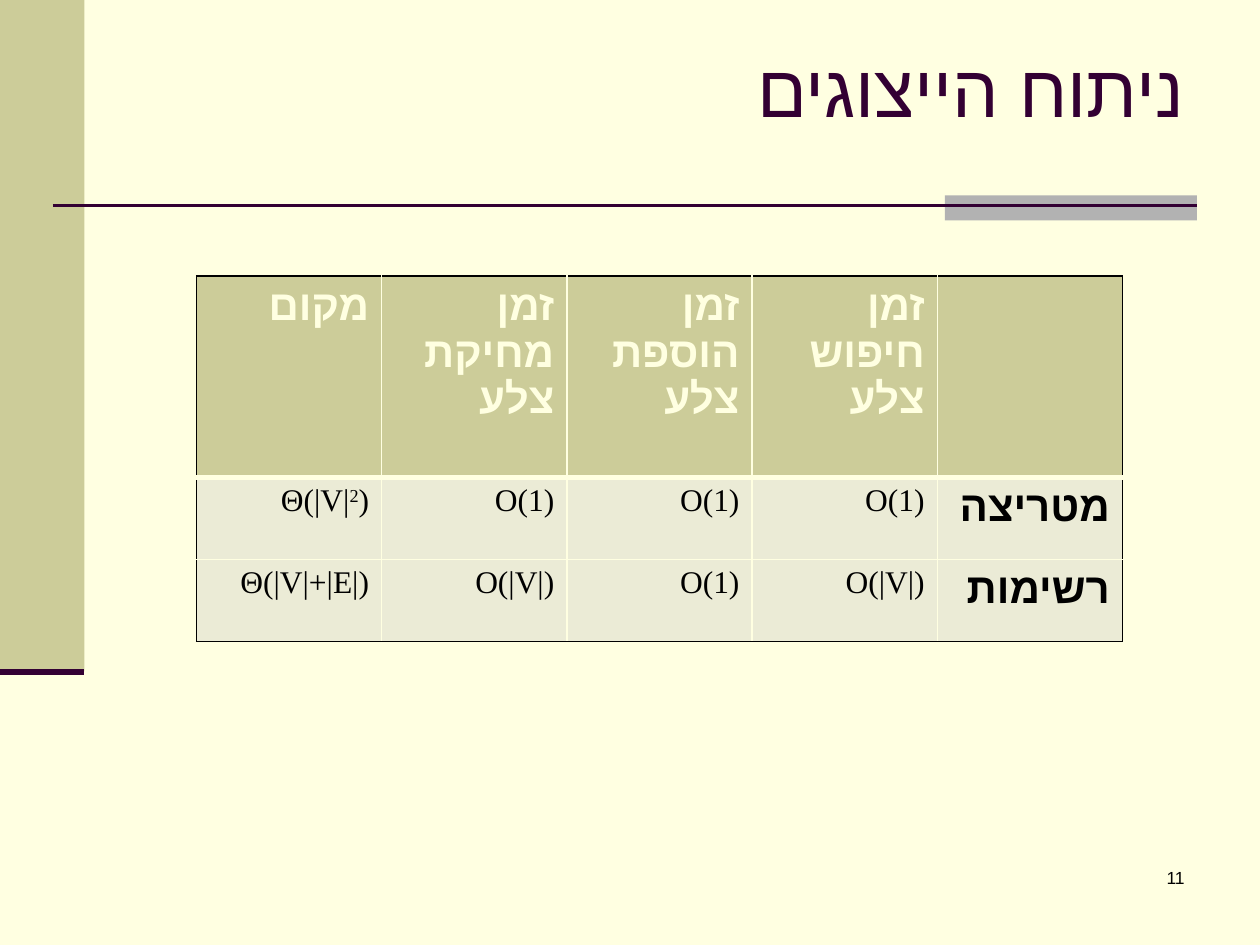
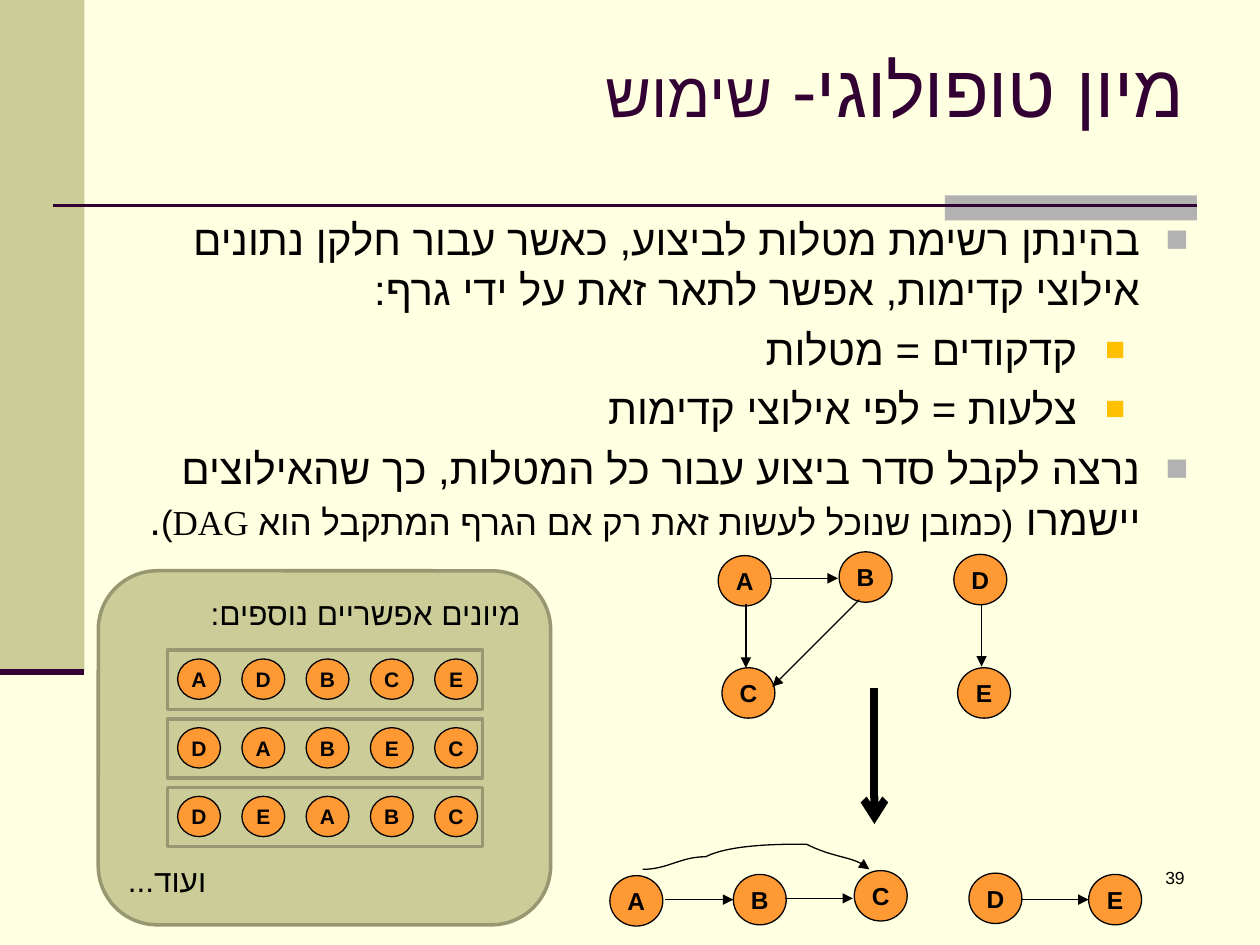
"""Build two Hebrew slides on graph representations and topological sorting."""
import lxml.etree
import pptx
import pptx.dml.color
import pptx.enum.shapes
import pptx.enum.text
import pptx.oxml.ns
import pptx.util

COLORS = {
    "paper": "FFFFE1", "olive": "CCCC99", "olive_dark": "979771", "olive_pale": "EBEBD6",
    "gray": "B2B2B2", "plum": "330033", "ink": "000000", "orange": "FF9933", "amber": "FFC000",
}
SERIF, SANS = "Times New Roman", "Arial"
UNIT = pptx.util.Inches(0.1)
COLUMNS, ROWS = 100, 75
KINDS = pptx.enum.shapes.MSO_SHAPE
ALIGN = pptx.enum.text.PP_ALIGN
ANCHOR = pptx.enum.text.MSO_ANCHOR
rgb = {name: pptx.dml.color.RGBColor.from_string(value) for name, value in COLORS.items()}
qn = pptx.oxml.ns.qn
SubElement = lxml.etree.SubElement


def add_block(slide, kind, box, fill=None, line=None, width=1):
    """Add a preset shape placed in grid units."""
    block = slide.shapes.add_shape(kind, *[round(value * UNIT) for value in box])
    block.shadow.inherit = False
    for part, color in ((block.fill, fill), (block.line.fill, line)):
        if color:
            part.solid()
            part.fore_color.rgb = rgb[color]
        else:
            part.background()
    if line:
        block.line.width = pptx.util.Pt(width)
    return block


def write(paragraph, runs, align=ALIGN.RIGHT, rtl=True, color="ink", font=SERIF, bold=False):
    """Fill a paragraph with (text, size, baseline) runs."""
    paragraph.alignment = align
    paragraph._p.get_or_add_pPr().set("rtl", str(int(rtl)))
    for text, size, *baseline in runs:
        run = paragraph.add_run()
        run.text = text
        look = {"size": pptx.util.Pt(size), "name": font, "bold": bold}
        for name, value in look.items():
            setattr(run.font, name, value)
        run.font.color.rgb = rgb[color]
        properties = run._r.get_or_add_rPr()
        SubElement(properties, qn("a:cs"), typeface=SANS)
        if baseline:
            properties.set("baseline", str(baseline[0] * 1000))


deck = pptx.Presentation()
deck.slide_width, deck.slide_height = COLUMNS * UNIT, ROWS * UNIT
backdrop = deck.slide_master.background.fill
backdrop.solid()
backdrop.fore_color.rgb = rgb["paper"]

pages = [
    ([("ניתוח הייצוגים", 42)], "11"),
    ([("מיון טופולוגי- ", 42), ("שימוש", 36)], "39"),
]
strokes = []
for heading, number in pages:
    slide = deck.slides.add_slide(deck.slide_layouts[5])
    add_block(slide, KINDS.RECTANGLE, (0, 0, 6.7, 53.3), "olive")
    add_block(slide, KINDS.RECTANGLE, (75, 15.5, 20, 2), "gray")
    strokes += [
        (slide, (4.2, 16.3), (95, 16.3), "plum", 1.5, None),
        (slide, (0, 53.3), (6.7, 53.3), "plum", 3.5, None),
    ]
    title = slide.shapes.title
    place = {"left": 10, "top": 3, "width": 85, "height": 12.5}
    for name, value in place.items():
        setattr(title, name, round(value * UNIT))
    title.text_frame.vertical_anchor = ANCHOR.TOP
    title.text_frame.auto_size = pptx.enum.text.MSO_AUTO_SIZE.NONE
    write(title.text_frame.paragraphs[0], heading, color="plum")
    page_number = slide.shapes.add_textbox(*[round(v * UNIT) for v in (74.2, 68.3, 20.8, 5)])
    page_number.text_frame.word_wrap = True
    write(page_number.text_frame.paragraphs[0], [(number, 10)], rtl=False, font=SANS)

analysis, sorting = deck.slides

costs = [
    ["מקום", "זמן מחיקת צלע", "זמן הוספת צלע", "זמן חיפוש צלע", ""],
    ["Θ(|V|^2)", "O(1)", "O(1)", "O(1)", "מטריצה"],
    ["Θ(|V|+|E|)", "O(|V|)", "O(1)", "O(|V|)", "רשימות"],
]
last_row, last_column = len(costs) - 1, len(costs[0]) - 1
cost_frame = analysis.shapes.add_table(
    len(costs), len(costs[0]), *[round(v * UNIT) for v in (15.6, 21.9, 73.5, 29)])
cost_table = cost_frame.table
cost_table.first_row = cost_table.horz_banding = False
for column in cost_table.columns:
    column.width = round(14.7 * UNIT)
for row, height in zip(cost_table.rows, (16, 6.5, 6.5)):
    row.height = round(height * UNIT)
for r, entries in enumerate(costs):
    for c, entry in enumerate(entries):
        cell = cost_table.cell(r, c)
        cell.fill.solid()
        cell.fill.fore_color.rgb = rgb["olive_pale" if r else "olive"]
        label = r == 0 or c == last_column
        base, power, rest = entry.partition("^2")
        runs = [(base, 24 if label else 18)]
        if power:
            runs += [("2", 18, 30), (rest, 18)]
        if entry:
            write(cell.text_frame.paragraphs[0], runs, bold=label, color="ink" if r else "paper")
        outer = {"lnL": c == 0, "lnR": c == last_column, "lnT": r == 0, "lnB": r == last_row}
        thick = {"lnB": r == 0, "lnT": r == 1}
        properties = cell._tc.get_or_add_tcPr()
        for position, (side, at_edge) in enumerate(outer.items()):
            border = lxml.etree.Element(qn("a:" + side), w=str(pptx.util.Pt(3 if thick.get(side) else 1)))
            paint = SubElement(border, qn("a:solidFill"))
            SubElement(paint, qn("a:srgbClr"), val=COLORS["ink" if at_edge else "paper"])
            properties.insert(position, border)

points = [
    (0, [("בהינתן רשימת מטלות לביצוע, כאשר עבור חלקן נתונים אילוצי קדימות, אפשר לתאר זאת על ידי גרף:", 24)]),
    (1, [("קדקודים = מטלות", 24)]),
    (1, [("צלעות = לפי אילוצי קדימות", 24)]),
    (0, [("נרצה לקבל סדר ביצוע עבור כל המטלות, כך שהאילוצים יישמרו ", 24),
         ("(כמובן שנוכל לעשות זאת רק אם הגרף המתקבל הוא DAG)", 20), (".", 24)]),
]
bullets = [("gray", 90, 3.8), ("amber", 80, 8.8)]
task_text = sorting.shapes.add_textbox(*[round(v * UNIT) for v in (8.6, 16.4, 86.7, 27.7)]).text_frame
task_text.word_wrap = True
for index, (level, runs) in enumerate(points):
    point = task_text.add_paragraph() if index else task_text.paragraphs[0]
    point.level = level
    point.line_spacing = pptx.util.Pt(29)
    point.space_before = pptx.util.Pt(5 if index else 0)
    color, size, margin = bullets[level]
    properties = point._p.get_or_add_pPr()
    properties.set("marL", str(round(margin * UNIT)))
    properties.set("indent", str(round(-3.8 * UNIT)))
    tint = SubElement(properties, qn("a:buClr"))
    SubElement(tint, qn("a:srgbClr"), val=COLORS[color])
    SubElement(properties, qn("a:buSzPct"), val=str(size * 1000))
    SubElement(properties, qn("a:buFont"), typeface=SANS)
    SubElement(properties, qn("a:buChar"), char="■")
    write(point, runs)

panel = add_block(sorting, KINDS.ROUNDED_RECTANGLE, (7.8, 45.3, 35.9, 28.1), "olive", "olive_dark", 2)
panel.text_frame.vertical_anchor = ANCHOR.TOP
write(panel.text_frame.paragraphs[0], [("מיונים אפשריים נוספים:", 18)])
more = panel.text_frame.add_paragraph()
more.space_before = pptx.util.Pt(131)
write(more, [("ועוד...", 18)], align=ALIGN.LEFT)

big, small = (4.2, 4), (3.4, 3.2)
nodes = [
    ("A", 57, 44.1, big), ("B", 66.6, 43.8, big), ("C", 57.3, 53, big),
    ("D", 75.7, 44, big), ("E", 76, 53, big),
    ("A", 48.4, 69.5, big), ("B", 58.2, 69.4, big), ("C", 67.8, 69.1, big),
    ("D", 76.9, 69.3, big), ("E", 86.4, 69.4, big),
]
for r, order in enumerate(("ADBCE", "DABEC", "DEABC")):
    add_block(sorting, KINDS.RECTANGLE, (13.3, 51.6 + 5.45 * r, 25, 4.7), None, "olive_dark", 2)
    nodes += [(task, 14.1 + 5.1 * i, 52.3 + 5.45 * r, small) for i, task in enumerate(order)]
for task, left, top, size in nodes:
    node = add_block(sorting, KINDS.OVAL, (left, top, *size), "orange", "ink", 0.75)
    node.text_frame.word_wrap = False
    node.text_frame.vertical_anchor = ANCHOR.MIDDLE
    write(node.text_frame.paragraphs[0], [(task, 14 if size == big else 12)],
          align=ALIGN.CENTER, rtl=False, font=SANS, bold=True)

edges = [
    ((77.9, 47.9), (77.9, 52.9)), ((59.2, 47.9), (59.2, 53)),
    ((61.1, 45.9), (66.5, 45.9)), ((68.2, 47.6), (61.3, 54.5)),
    ((62.3, 71.3), (67.7, 71.3)), ((52.8, 71.4), (58.2, 71.4)), ((81, 71.4), (86.4, 71.4)),
]
strokes += [(sorting, start, end, "ink", 0.75, "triangle") for start, end in edges]
strokes.append((sorting, (69.4, 54.6), (69.4, 65.4), "ink", 4.5, "arrow"))
for slide, start, end, color, width, head in strokes:
    stroke = slide.shapes.add_connector(
        pptx.enum.shapes.MSO_CONNECTOR.STRAIGHT, *[round(v * UNIT) for v in start + end])
    stroke.line.color.rgb = rgb[color]
    stroke.line.width = pptx.util.Pt(width)
    if head:
        SubElement(stroke.line._get_or_add_ln(), qn("a:tailEnd"), type=head)
    SubElement(stroke.element.spPr, qn("a:effectLst"))

bend = [(52.7, 68.7), (54.1, 68), (56.2, 67.7), (58.2, 67.3), (61.5, 67.1), (63.6, 67.3),
        (65.8, 67.5), (67.5, 68.3), (69.2, 69.1)]
outline = sorting.shapes.build_freeform(51.4, 69.4, scale=UNIT)
outline.add_line_segments(bend, close=False)
skip_edge = outline.convert_to_shape()
skip_edge.shadow.inherit = False
skip_edge.fill.background()
skip_edge.line.color.rgb = rgb["ink"]
skip_edge.line.width = pptx.util.Pt(0.75)
SubElement(skip_edge.line._get_or_add_ln(), qn("a:tailEnd"), type="triangle")
route = skip_edge.element.find(".//" + qn("a:path"))
segments = route.findall(qn("a:lnTo"))
for first in range(0, len(segments), 3):
    arc = SubElement(route, qn("a:cubicBezTo"))
    for segment in segments[first:first + 3]:
        arc.append(segment[0])
        route.remove(segment)

deck.save("out.pptx")
